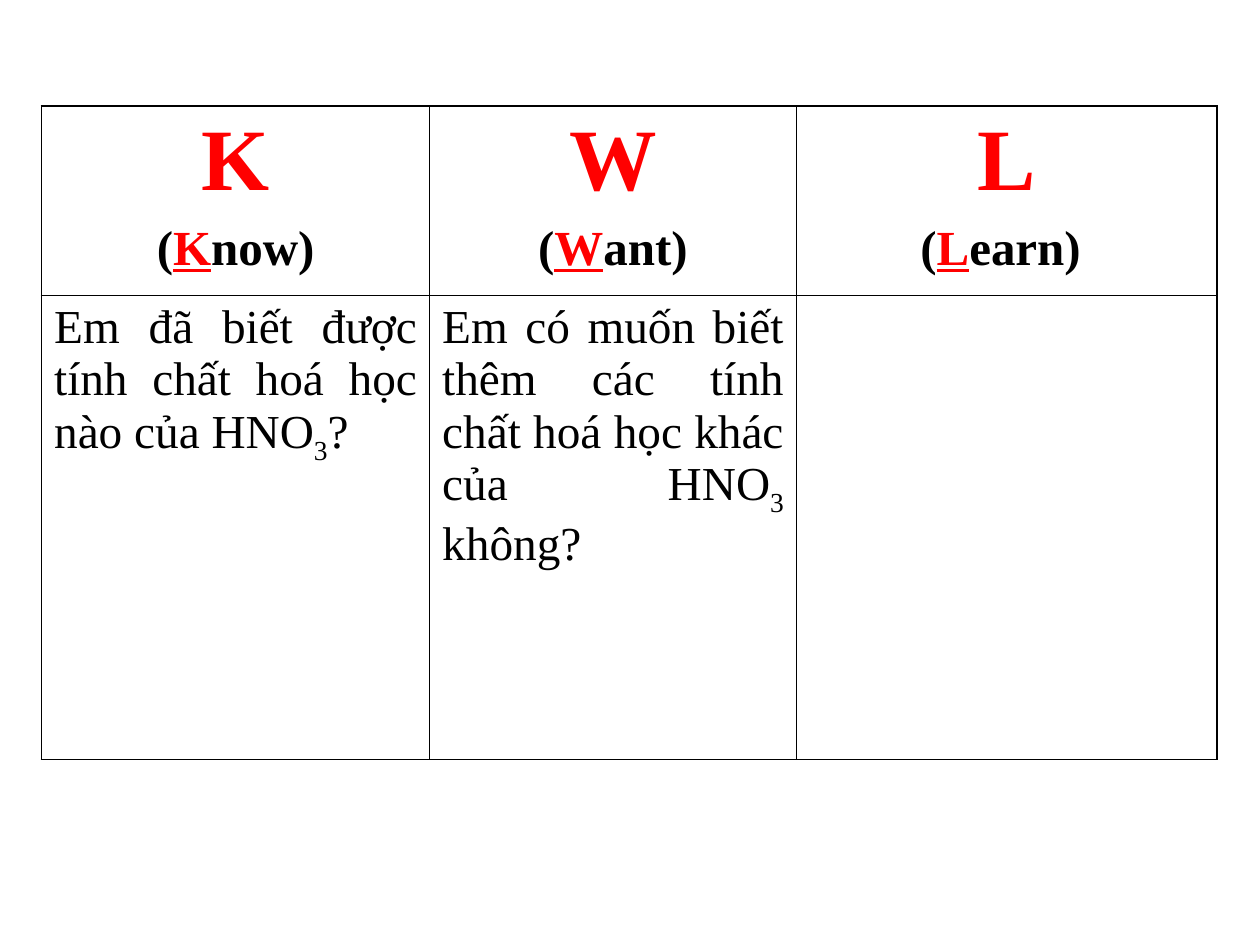
from dataclasses import dataclass

from lxml.etree import SubElement
from pptx import Presentation
from pptx.dml.color import RGBColor
from pptx.enum.text import PP_ALIGN
from pptx.oxml.ns import qn
from pptx.util import Inches, Pt


@dataclass(frozen=True)
class Theme:
    font: str = "Times New Roman"
    ink: str = "000000"
    accent: str = "FF0000"
    letter_size: float = 50
    word_size: float = 28
    question_size: float = 27
    outer_line: float = 1.08
    inner_line: float = 0.45


class ChartSlide:
    def __init__(self, deck, theme):
        self.theme = theme
        self.width, self.height = deck.slide_width, deck.slide_height
        self.slide = deck.slides.add_slide(deck.slide_layouts[6])

    def grid(self, left, top, column_shares, row_shares):
        widths = [round(self.width * share) for share in column_shares]
        heights = [round(self.height * share) for share in row_shares]
        grid = self.slide.shapes.add_table(
            len(heights), len(widths),
            round(self.width * left), round(self.height * top),
            sum(widths), sum(heights),
        ).table
        grid.first_row = grid.horz_banding = False
        for column, width in zip(grid.columns, widths):
            column.width = width
        for row, height in zip(grid.rows, heights):
            row.height = height
        last = len(widths) - 1
        for r in range(len(heights)):
            for c in range(len(widths)):
                self.borders(grid.cell(r, c), {
                    "L": c == 0, "R": c == last, "T": r == 0, "B": False})
        return grid

    def borders(self, cell, outer_sides):
        properties = cell._tc.get_or_add_tcPr()
        for side, outer in outer_sides.items():
            weight = self.theme.outer_line if outer else self.theme.inner_line
            line = SubElement(properties, qn(f"a:ln{side}"), w=str(Pt(weight)))
            fill = SubElement(line, qn("a:solidFill"))
            SubElement(fill, qn("a:srgbClr"), val=self.theme.ink)
        cell.fill.background()

    def paragraph(self, paragraph, size, space, align, bold):
        paragraph.alignment = align
        paragraph.space_before = Pt(space)
        paragraph.font.name = self.theme.font
        paragraph.font.size = Pt(size)
        paragraph.font.bold = bold
        return paragraph

    def run(self, paragraph, text, color):
        run = paragraph.add_run()
        run.text = text
        run.font.color.rgb = RGBColor.from_string(color)
        return run

    def heading(self, cell, initial, ending):
        theme, frame = self.theme, cell.text_frame
        letter = self.paragraph(frame.paragraphs[0], theme.letter_size, 12.5,
                                PP_ALIGN.CENTER, True)
        self.run(letter, initial, theme.accent)
        word = self.paragraph(frame.add_paragraph(), theme.word_size, 7,
                              PP_ALIGN.CENTER, True)
        self.run(word, "(", theme.ink)
        self.run(word, initial, theme.accent).font.underline = True
        self.run(word, ending, theme.ink)

    def question(self, cell, lead, subscript, ending):
        theme = self.theme
        sentence = self.paragraph(cell.text_frame.paragraphs[0],
                                  theme.question_size, 6.8,
                                  PP_ALIGN.JUSTIFY, False)
        self.run(sentence, lead, theme.ink)
        lowered = self.run(sentence, subscript, theme.ink)
        lowered._r.get_or_add_rPr().set("baseline", "-25000")
        self.run(sentence, ending, theme.ink)


HEADINGS = [("K", "now)"), ("W", "ant)"), ("L", "earn) ")]
QUESTIONS = [
    ("Em đã biết được tính chất hoá học nào của HNO", "3", "?"),
    ("Em có muốn biết thêm các tính chất hoá học khác của HNO", "3", " không?"),
]


def main():
    deck = Presentation()
    deck.slide_width, deck.slide_height = Inches(10), Inches(7.5)
    kwl = ChartSlide(deck, Theme())
    grid = kwl.grid(0.033, 0.112, (0.308, 0.291, 0.334), (0.2, 0.492))
    for column, heading in enumerate(HEADINGS):
        kwl.heading(grid.cell(0, column), *heading)
    for column, question in enumerate(QUESTIONS):
        kwl.question(grid.cell(1, column), *question)
    deck.save("out.pptx")


if __name__ == "__main__":
    main()
